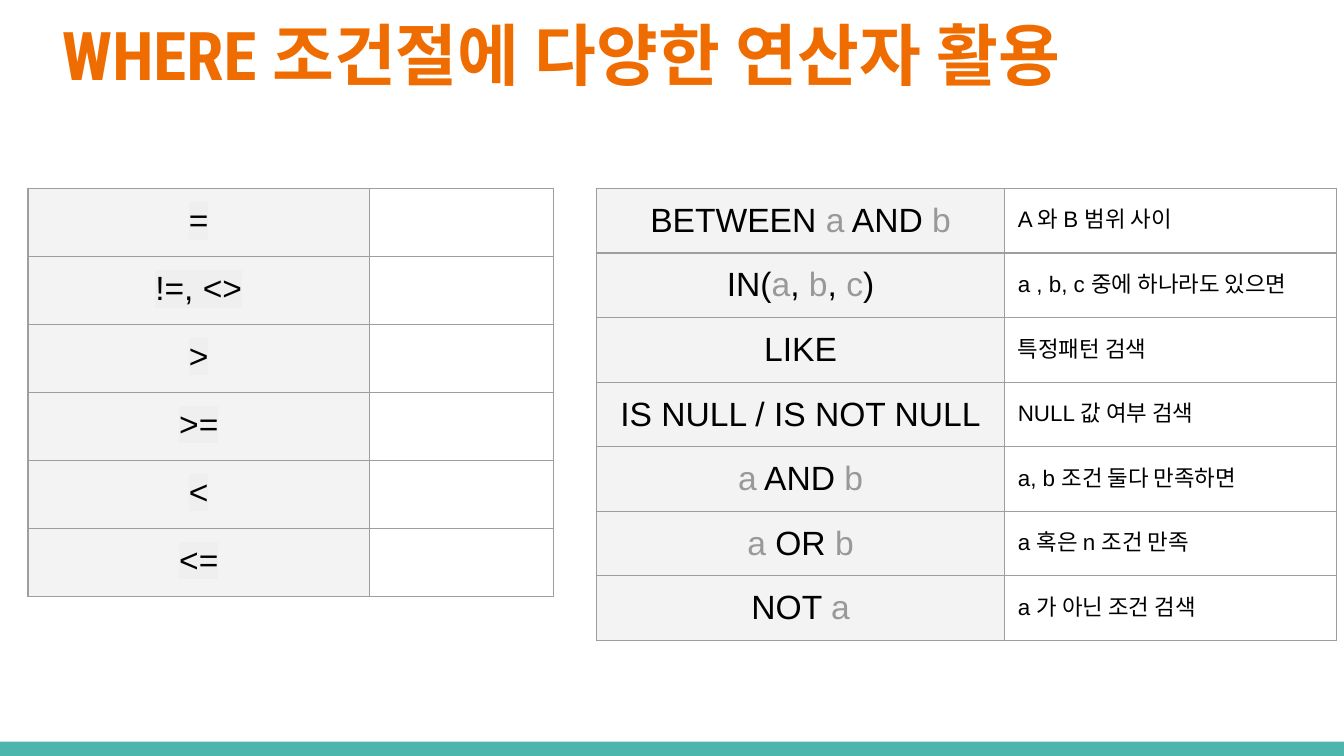
from itertools import groupby

from lxml import etree
from pptx import Presentation
from pptx.dml import color
from pptx.enum import shapes, text
from pptx.oxml import ns
from pptx.util import Pt

INK, VARIABLE, ORANGE, TEAL = "000000", "999999", "EF6C00", "4DB6AC"
OPERATOR_FILL, HIGHLIGHT, BORDER = "F3F3F3", "EFEFEF", "9E9E9E"
ROW_HEIGHT = 34.5
INSETS = {f"margin_{side}": Pt(7.2) for side in ("left", "top", "right", "bottom")}

COMPARISONS = [("=", ""), ("!=, <>", ""), (">", ""), (">=", ""), ("<", ""), ("<=", "")]
CONDITIONS = [
    ("BETWEEN a AND b", "A 와 B 범위 사이"),
    ("IN(a, b, c)", "a , b, c 중에 하나라도 있으면"),
    ("LIKE", "특정패턴 검색"),
    ("IS NULL / IS NOT NULL", "NULL 값 여부 검색"),
    ("a AND b", "a, b 조건 둘다 만족하면"),
    ("a OR b", "a 혹은 n 조건 만족"),
    ("NOT a", "a 가 아닌 조건 검색"),
]


def rgb(hex_value):
    return color.RGBColor.from_string(hex_value)


def apply(target, formats):
    for name, value in formats.items():
        setattr(target, name, value)


def add_xml_color(parent, tag, hex_value):
    holder = etree.SubElement(parent, ns.qn(tag))
    etree.SubElement(holder, ns.qn("a:srgbClr"), val=hex_value)
    return holder


def add_run(paragraph, words, size, hex_value, font="Arial", bold=False):
    run = paragraph.add_run()
    run.text = words
    apply(run.font, {"size": Pt(size), "name": font, "bold": bold})
    run.font.color.rgb = rgb(hex_value)
    return run


def highlight(run):
    properties = run.font.fill._xPr
    mark = add_xml_color(properties, "a:highlight", HIGHLIGHT)
    properties.find(ns.qn("a:solidFill")).addnext(mark)


def draw_borders(cell):
    properties = cell._tc.get_or_add_tcPr()
    for side in ("L", "R", "T", "B"):
        line = etree.SubElement(properties, ns.qn(f"a:ln{side}"), w=str(Pt(0.75)))
        add_xml_color(line, "a:solidFill", BORDER)


def fill_operator(cell, operator, highlighted):
    cell.fill.solid()
    cell.fill.fore_color.rgb = rgb(OPERATOR_FILL)
    paragraph = cell.text_frame.paragraphs[0]
    paragraph.alignment = text.PP_ALIGN.CENTER
    for is_variable, letters in groupby(operator, str.islower):
        run = add_run(paragraph, "".join(letters), 18, VARIABLE if is_variable else INK)
        if highlighted:
            highlight(run)


def fill_meaning(cell, meaning):
    cell.fill.background()
    if meaning:
        add_run(cell.text_frame.paragraphs[0], meaning, 12, INK)


def add_operator_table(slide, left, top, widths, entries, highlighted=False):
    table = slide.shapes.add_table(
        len(entries), 2, Pt(left), Pt(top), Pt(sum(widths)), Pt(ROW_HEIGHT * len(entries))
    ).table
    apply(table, {"first_row": False, "horz_banding": False})
    for column, width in zip(table.columns, widths):
        column.width = Pt(width)
    for row, (operator, meaning) in zip(table.rows, entries):
        row.height = Pt(ROW_HEIGHT)
        for cell in row.cells:
            apply(cell, INSETS)
            draw_borders(cell)
        fill_operator(row.cells[0], operator, highlighted)
        fill_meaning(row.cells[1], meaning)


def place_title(slide, left, top, width, height):
    title = slide.shapes.title
    apply(title, {"left": Pt(left), "top": Pt(top), "width": Pt(width), "height": Pt(height)})
    frame = title.text_frame
    apply(frame, {
        **INSETS,
        "word_wrap": True,
        "auto_size": text.MSO_AUTO_SIZE.NONE,
        "vertical_anchor": text.MSO_ANCHOR.MIDDLE,
    })
    paragraph = frame.paragraphs[0]
    paragraph.alignment = text.PP_ALIGN.LEFT
    add_run(paragraph, "WHERE 조건절에 다양한 연산자 활용", 36, ORANGE, "Roboto Condensed", True)


def add_footer_bar(slide, left, top, width, height):
    bar = slide.shapes.add_shape(
        shapes.MSO_SHAPE.RECTANGLE, Pt(left), Pt(top), Pt(width), Pt(height)
    )
    bar.shadow.inherit = False
    bar.fill.solid()
    bar.fill.fore_color.rgb = rgb(TEAL)
    bar.line.fill.background()


def main():
    deck = Presentation()
    apply(deck, {"slide_width": Pt(720), "slide_height": Pt(405)})
    slide = deck.slides.add_slide(deck.slide_layouts.get_by_name("Title Only"))
    add_footer_bar(slide, 0, 397.4, 720, 7.6)
    place_title(slide, 26, 0.7, 671, 55.5)
    add_operator_table(slide, 15, 101, (183, 98.5), COMPARISONS, highlighted=True)
    add_operator_table(slide, 319.7, 101, (218.4, 178), CONDITIONS)
    deck.save("out.pptx")


if __name__ == "__main__":
    main()
